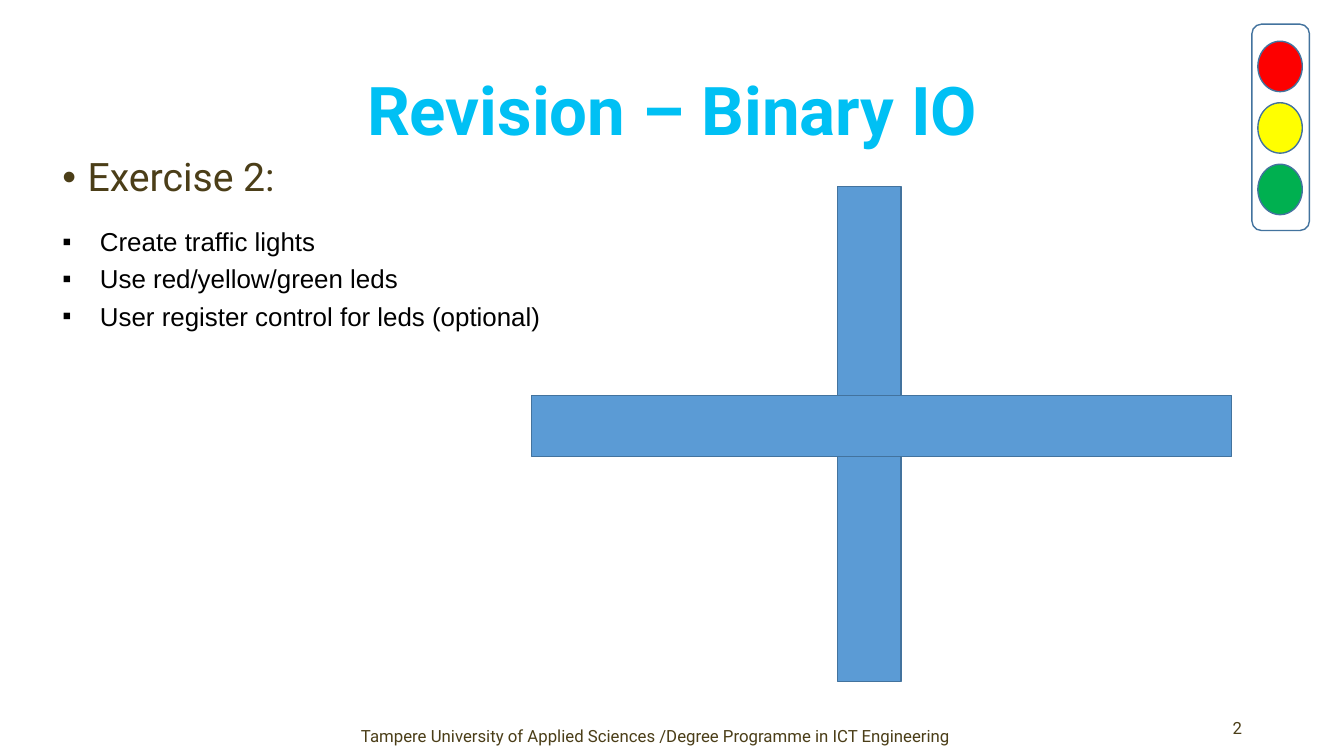
from dataclasses import dataclass

from lxml.etree import SubElement
from pptx import Presentation
from pptx.dml.color import RGBColor
from pptx.enum.shapes import MSO_SHAPE as Preset
from pptx.enum.text import MSO_ANCHOR as Anchor, MSO_AUTO_SIZE as AutoSize, PP_ALIGN as Align
from pptx.oxml.ns import qn
from pptx.util import Cm, Pt


@dataclass(frozen=True)
class Theme:
    heading_font: str = "Roboto"
    list_font: str = "Arial"
    title_color: str = "00C0F4"
    body_color: str = "4B3E18"
    list_color: str = "000000"
    road_color: str = "5B9BD5"
    line_color: str = "43739E"
    lamp_colors: tuple = ("FD0000", "FFFF00", "00B050")
    title_size: float = 48
    body_size: float = 28
    list_size: float = 18.5
    footer_size: float = 12


THEME = Theme()


def place(shape, left, top, width, height):
    shape.left, shape.top = Cm(left), Cm(top)
    shape.width, shape.height = Cm(width), Cm(height)


def add_bullet(para, symbol, indent):
    """Give a paragraph a bullet with a hanging indent."""
    props = para._p.get_or_add_pPr()
    props.set("marL", str(Cm(indent)))
    props.set("indent", str(-Cm(indent)))
    SubElement(props, qn("a:buFont")).set("typeface", "Arial")
    SubElement(props, qn("a:buChar")).set("char", symbol)


def write(box, *lines, size, font=THEME.heading_font, color=THEME.body_color, bold=False,
          align=Align.LEFT, anchor=Anchor.TOP, spacing=1.0, gap=0, bullet=None, indent=0):
    """Fill a box with one formatted paragraph per line."""
    frame = box.text_frame
    frame.word_wrap = True
    frame.auto_size = AutoSize.NONE
    frame.vertical_anchor = anchor
    for index, line in enumerate(lines):
        para = frame.add_paragraph() if index else frame.paragraphs[0]
        if bullet:
            add_bullet(para, bullet, indent)
        para.alignment = align
        para.line_spacing = spacing
        para.space_before = Pt(gap if index else 0)
        span = para.add_run()
        span.text = line
        span.font.name = font
        span.font.size = Pt(size)
        span.font.bold = bold
        span.font.color.rgb = RGBColor.from_string(color)


def add_text(page, area, *lines, **style):
    box = page.shapes.add_textbox(*map(Cm, area))
    write(box, *lines, **style)


def add_figure(shapes, preset, area, fill=None):
    """Draw an outlined preset shape, hollow when no fill is given."""
    figure = shapes.add_shape(preset, *map(Cm, area))
    figure.shadow.inherit = False
    if fill:
        figure.fill.solid()
        figure.fill.fore_color.rgb = RGBColor.from_string(fill)
    else:
        figure.fill.background()
    figure.line.color.rgb = RGBColor.from_string(THEME.line_color)
    figure.line.width = Pt(1)


def add_traffic_light(page):
    light = page.shapes.add_group_shape()
    for index, color in enumerate(THEME.lamp_colors):
        add_figure(light.shapes, Preset.OVAL, (31.7, 1.04 + 1.55 * index, 1.12, 1.27), color)
    add_figure(light.shapes, Preset.ROUNDED_RECTANGLE, (31.55, 0.61, 1.45, 5.2))


def main():
    deck = Presentation()
    deck.slide_width, deck.slide_height = Cm(33.87), Cm(19.05)
    page = deck.slides.add_slide(deck.slide_layouts[5])

    # Title
    title = page.shapes.title
    place(title, 2.34, 1.02, 29.21, 3.68)
    write(title, "Revision – Binary IO", size=THEME.title_size, color=THEME.title_color,
          bold=True, align=Align.CENTER, anchor=Anchor.MIDDLE, spacing=0.9)

    # Exercise and its tasks
    add_text(page, (1.32, 3.86, 29.21, 12.19), "Exercise 2:",
             size=THEME.body_size, spacing=0.9, bullet="•", indent=0.64)
    add_text(page, (1.32, 5.56, 13.13, 3.07),
             "Create traffic lights",
             "Use red/yellow/green leds",
             "User register control for leds (optional)",
             size=THEME.list_size, font=THEME.list_font, color=THEME.list_color,
             gap=4.4, bullet="▪", indent=0.95)

    # Footer and page number
    add_text(page, (7.8, 18.03, 17.45, 1.02),
             "Tampere University of Applied Sciences /Degree Programme in ICT Engineering",
             size=THEME.footer_size, align=Align.CENTER, anchor=Anchor.MIDDLE)
    add_text(page, (25.86, 17.65, 5.69, 1.4), "2",
             size=THEME.footer_size, align=Align.RIGHT, anchor=Anchor.MIDDLE)

    # Crossing roads
    for road in ((21.11, 4.7, 1.6, 12.47), (13.39, 9.96, 17.65, 1.55)):
        add_figure(page.shapes, Preset.RECTANGLE, road, THEME.road_color)

    add_traffic_light(page)
    deck.save("out.pptx")


if __name__ == "__main__":
    main()
